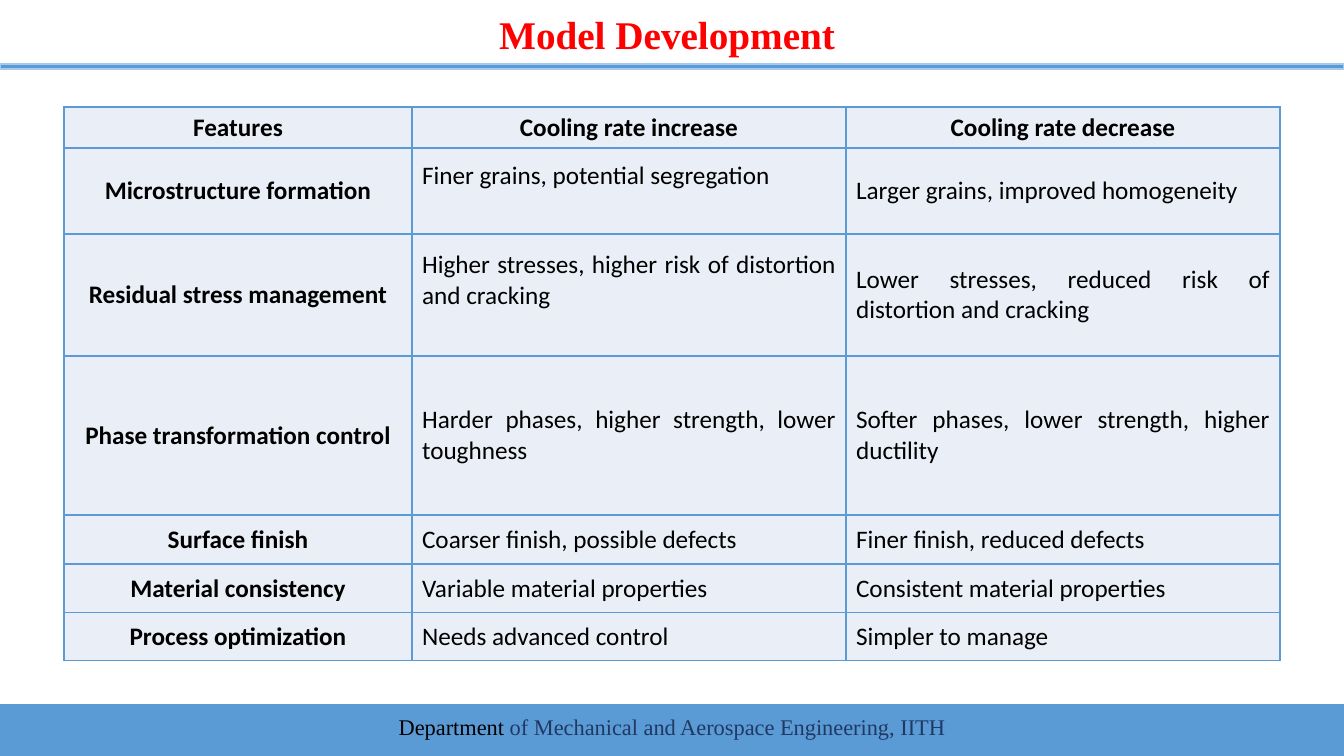
from lxml import etree
from pptx import Presentation
from pptx import util as u
from pptx.dml.color import RGBColor
from pptx.enum import shapes, text
from pptx.oxml import ns

EMU_PER_PX = 914400 / 100.8
BLUE = RGBColor(0x5B, 0x9B, 0xD5)
PALE_BLUE = RGBColor(0xA6, 0xCA, 0xEC)
CELL_FILL = RGBColor(0xEA, 0xEF, 0xF7)
NAVY = RGBColor(0x20, 0x38, 0x64)
RED = RGBColor(0xFF, 0x00, 0x00)
BLACK = RGBColor(0x00, 0x00, 0x00)

SERIF = "Times New Roman"
SANS = "Calibri"
CENTER = text.PP_ALIGN.CENTER
JUSTIFY = text.PP_ALIGN.JUSTIFY

COLUMN_WIDTHS = [348, 434, 434]
ROW_HEIGHTS = [41, 86, 122, 159, 49, 49, 48]
RAISED_CELLS = [(1, 1), (2, 1)]
COOLING_ROWS = [
    ("Features", "Cooling rate increase", "Cooling rate decrease"),
    ("Microstructure formation", "Finer grains, potential segregation",
     "Larger grains, improved homogeneity"),
    ("Residual stress management",
     "Higher stresses, higher risk of distortion and cracking",
     "Lower stresses, reduced risk of distortion and cracking"),
    ("Phase transformation control",
     "Harder phases, higher strength, lower toughness",
     "Softer phases, lower strength, higher ductility"),
    ("Surface finish", "Coarser finish, possible defects",
     "Finer finish, reduced defects"),
    ("Material consistency", "Variable material properties",
     "Consistent material properties"),
    ("Process optimization", "Needs advanced control", "Simpler to manage"),
]


def px(length):
    return u.Emu(round(length * EMU_PER_PX))


class SlideBuilder:
    def __init__(self, presentation):
        self.slide = presentation.slides.add_slide(presentation.slide_layouts[5])

    def add_runs(self, paragraph, runs, font, size, align, bold=False):
        paragraph.alignment = align
        for wording, color in runs:
            run = paragraph.add_run()
            run.text = wording
            run.font.name = font
            run.font.size = u.Pt(size)
            run.font.bold = bold
            run.font.color.rgb = color

    def title(self, wording, left, top, width, height):
        shape = self.slide.shapes.title
        shape.left, shape.top = px(left), px(top)
        shape.width, shape.height = px(width), px(height)
        frame = shape.text_frame
        frame.vertical_anchor = text.MSO_ANCHOR.MIDDLE
        frame.margin_right = px(20)
        frame.paragraphs[0].line_spacing = 0.9
        self.add_runs(frame.paragraphs[0], [(wording, RED)], SERIF, 28, CENTER, True)

    def bar(self, left, top, width, height, line=None):
        shape = self.slide.shapes.add_shape(
            shapes.MSO_SHAPE.RECTANGLE, px(left), px(top), px(width), px(height))
        shape.shadow.inherit = False
        shape.fill.solid()
        shape.fill.fore_color.rgb = BLUE
        if line is None:
            shape.line.fill.background()
        else:
            shape.line.color.rgb = line
            shape.line.width = u.Pt(1)

    def caption(self, runs, left, top, width, height):
        shape = self.slide.shapes.add_textbox(px(left), px(top), px(width), px(height))
        frame = shape.text_frame
        frame.word_wrap = True
        frame.vertical_anchor = text.MSO_ANCHOR.MIDDLE
        self.add_runs(frame.paragraphs[0], runs, SERIF, 16, CENTER)

    def border(self, cell):
        properties = cell._tc.get_or_add_tcPr()
        for side in ("a:lnL", "a:lnR", "a:lnT", "a:lnB"):
            line = etree.SubElement(properties, ns.qn(side), w=str(u.Pt(1)))
            fill = etree.SubElement(line, ns.qn("a:solidFill"))
            etree.SubElement(fill, ns.qn("a:srgbClr"), val=str(BLUE))

    def table(self, rows, left, top):
        table = self.slide.shapes.add_table(
            len(rows), len(COLUMN_WIDTHS), px(left), px(top),
            px(sum(COLUMN_WIDTHS)), px(sum(ROW_HEIGHTS))).table
        for column, width in zip(table.columns, COLUMN_WIDTHS):
            column.width = px(width)
        for row, height in zip(table.rows, ROW_HEIGHTS):
            row.height = px(height)
        for i, row in enumerate(rows):
            for j, wording in enumerate(row):
                cell = table.cell(i, j)
                self.border(cell)
                cell.fill.solid()
                cell.fill.fore_color.rgb = CELL_FILL
                cell.vertical_anchor = text.MSO_ANCHOR.MIDDLE
                if (i, j) in RAISED_CELLS:
                    cell.margin_bottom = px(35)
                heading = i == 0 or j == 0
                self.add_runs(cell.text_frame.paragraphs[0], [(wording, BLACK)], SANS, 18,
                              CENTER if heading else JUSTIFY, heading)


def main():
    presentation = Presentation()
    presentation.slide_width, presentation.slide_height = px(1344), px(756)
    builder = SlideBuilder(presentation)
    builder.bar(0, 704, 1344, 56)
    builder.title("Model Development", 35, 8, 1274, 57)
    builder.bar(0, 64, 1344, 5, PALE_BLUE)
    builder.caption([("Department", BLACK),
                     (" of Mechanical and Aerospace Engineering, IITH", NAVY)],
                    352, 707, 640, 40)
    builder.table(COOLING_ROWS, 64, 107)
    presentation.save("out.pptx")


if __name__ == "__main__":
    main()
